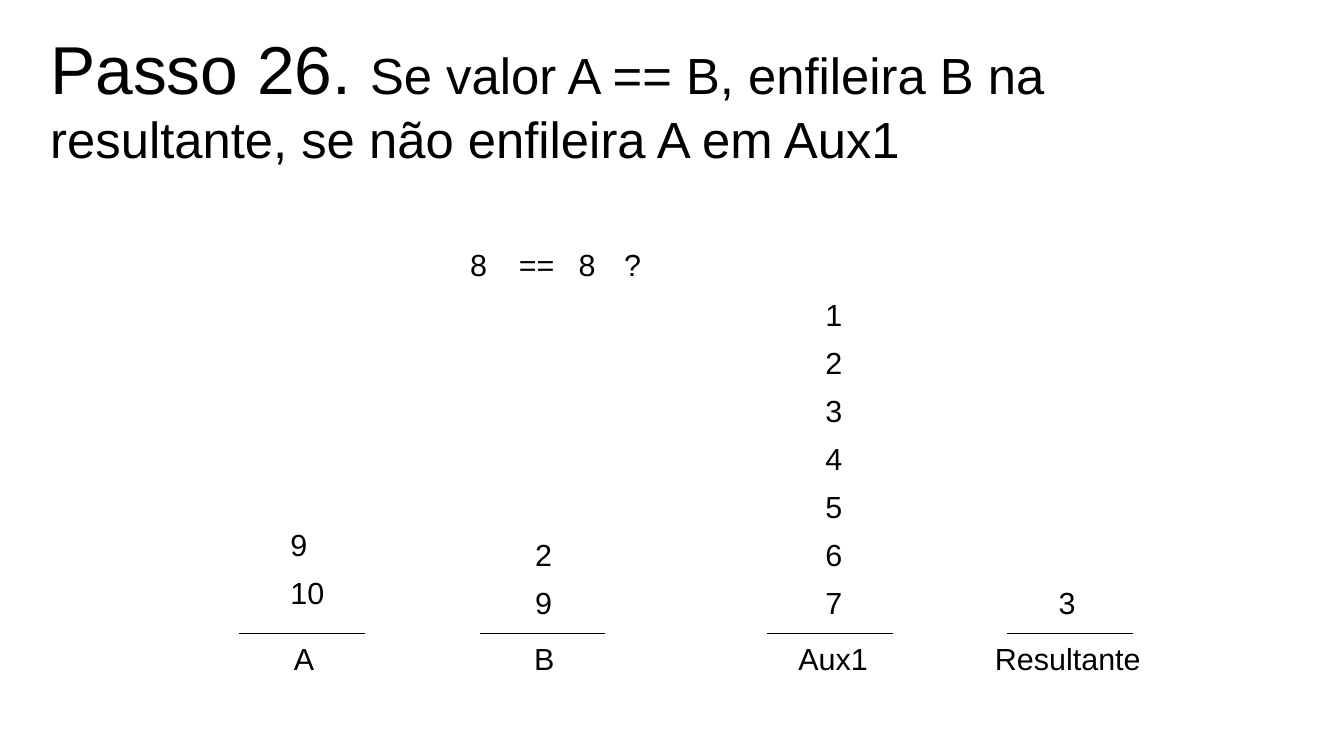
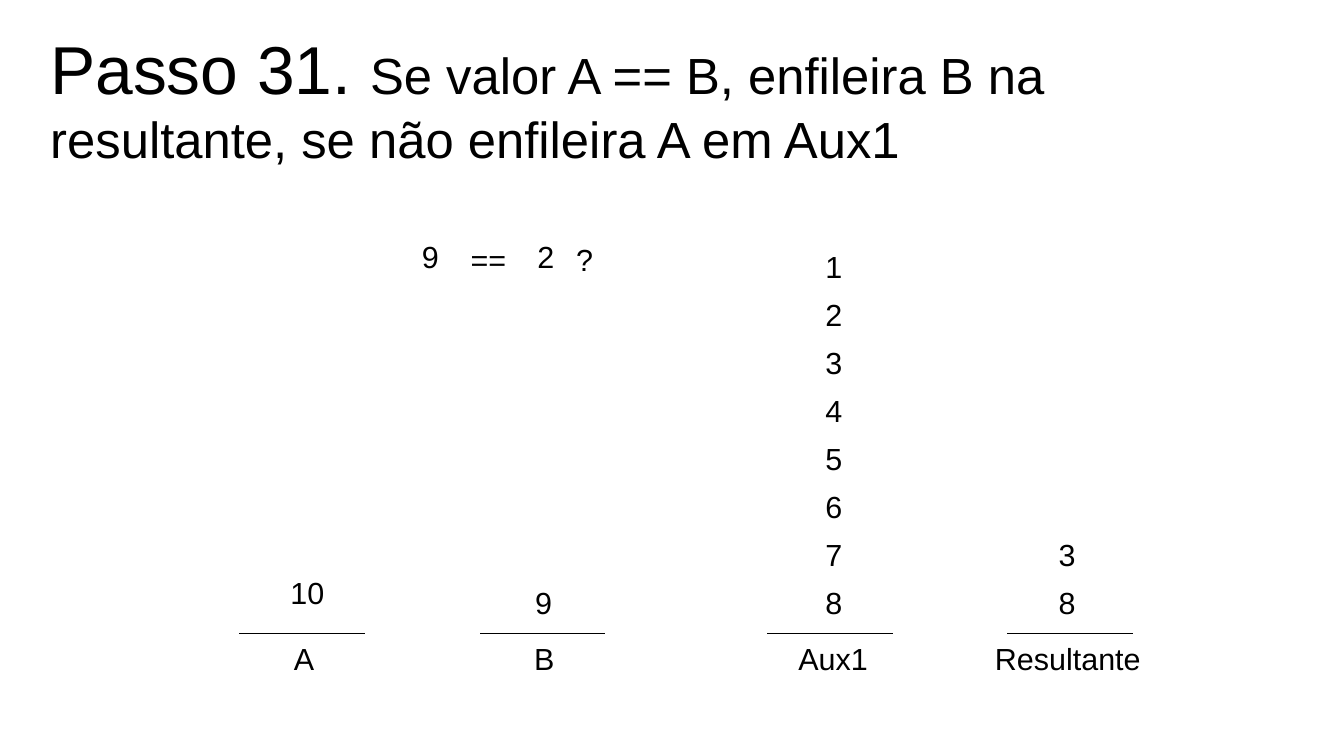
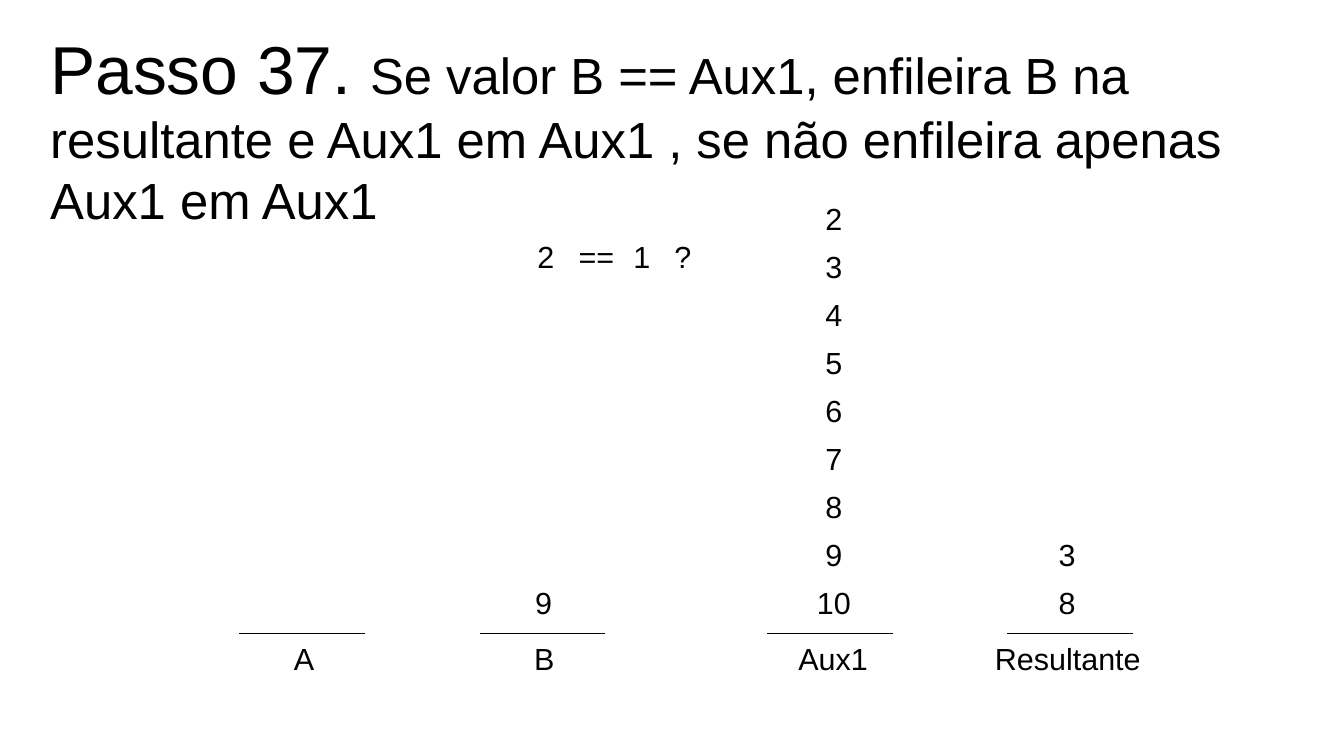
from dataclasses import dataclass

from lxml.etree import SubElement
from pptx import Presentation
from pptx.dml.color import RGBColor
from pptx.enum.shapes import MSO_CONNECTOR
from pptx.enum.text import MSO_AUTO_SIZE as AutoSize
from pptx.oxml.ns import qn
from pptx.slide import Slide
from pptx.util import Pt

COLORS = {"ink": "000000", "paper": "FFFFFF"}
FONT = "Arial"
STEP_SIZE, RULE_SIZE, BODY_SIZE = 40, 30, 18
BASE_Y = 374.1
BASE_WIDTH = 73.7
LINE_HEIGHT = 27.4
ROW_PITCH = 28.35
DIGIT_WIDTH, NEXT_DIGIT = 24.4, 10


@dataclass(frozen=True)
class Queue:
    name: str
    base_left: float
    label_left: float
    label_width: float
    cell_left: float
    last_row_top: float = 341.3
    centred: bool = True


@dataclass(frozen=True)
class Token:
    """One part of the comparison shown above the queues."""
    text: str
    left: float
    top: float


@dataclass(frozen=True)
class Step:
    number: int
    rule: str
    contents: tuple[list[int], ...]
    comparison: tuple[Token, ...]


QUEUES = (
    Queue("A", 141.5, 166.5, 77, 164.4, last_row_top=335.5, centred=False),
    Queue("B", 283.4, 308.2, 28, 308.9),
    Queue("Aux1", 453.3, 464.2, 58, 480.2),
    Queue("Resultante", 595.1, 580.3, 104, 617.8),
)

COMPARE_A_B = "Se valor A == B, enfileira B na resultante, se não enfileira A em Aux1"
COMPARE_B_AUX = ("Se valor B == Aux1, enfileira B na resultante e Aux1 em Aux1 , "
                 "se não enfileira apenas Aux1 em Aux1")

STEPS = (
    Step(26, COMPARE_A_B, ([9, 10], [2, 9], list(range(1, 8)), [3]),
         (Token("8", 270.5, 141.8), Token("==", 299.2, 141.8),
          Token("8", 334.5, 141.8), Token("?", 361.4, 141.8))),
    Step(31, COMPARE_A_B, ([10], [9], list(range(1, 9)), [3, 8]),
         (Token("9", 241.9, 136.8), Token("==", 270.7, 139),
          Token("2", 310.2, 136.8), Token("?", 333.1, 139))),
    Step(37, COMPARE_B_AUX, ([], [9], list(range(2, 11)), [3, 8]),
         (Token("2", 310.2, 136.8), Token("==", 334.5, 136.8),
          Token("1", 366.9, 136.8), Token("?", 391, 136.8))),
)


def add_text(slide: Slide, runs: list[tuple[str, float]], left: float, top: float,
             width: float, height: float = LINE_HEIGHT, wrap: bool = False) -> None:
    """Add a text box from (text, size) runs."""
    box = slide.shapes.add_textbox(Pt(left), Pt(top), Pt(width), Pt(height))
    frame = box.text_frame
    frame.word_wrap = wrap
    frame.auto_size = AutoSize.SHAPE_TO_FIT_TEXT
    para = frame.paragraphs[0]
    for text, size in runs:
        span = para.add_run()
        span.text = text
        span.font.name = FONT
        span.font.size = Pt(size)
        span.font.color.rgb = RGBColor.from_string(COLORS["ink"])


def add_base(slide: Slide, left: float) -> None:
    """Draw the hairline on which a queue stands."""
    base = slide.shapes.add_connector(
        MSO_CONNECTOR.STRAIGHT, Pt(left), Pt(BASE_Y), Pt(left + BASE_WIDTH), Pt(BASE_Y))
    base.line.color.rgb = RGBColor.from_string(COLORS["ink"])
    properties = base._element.spPr
    properties.find(qn("a:ln")).set("w", "0")
    SubElement(properties, qn("a:effectLst"))


def add_queue(slide: Slide, queue: Queue, values: list[int]) -> None:
    add_base(slide, queue.base_left)
    add_text(slide, [(queue.name, BODY_SIZE)], queue.label_left, BASE_Y, queue.label_width)
    for row, value in enumerate(reversed(values)):
        extra = NEXT_DIGIT * (len(str(value)) - 1)
        left = queue.cell_left - (extra / 2 if queue.centred else 0)
        add_text(slide, [(str(value), BODY_SIZE)], left,
                 queue.last_row_top - row * ROW_PITCH, DIGIT_WIDTH + extra)


def add_step(slide: Slide, step: Step) -> None:
    fill = slide.background.fill
    fill.solid()
    fill.fore_color.rgb = RGBColor.from_string(COLORS["paper"])
    title = [(f"Passo {step.number}. ", STEP_SIZE), (step.rule, RULE_SIZE)]
    add_text(slide, title, 22.6, 12.2, 748, 118.8, wrap=True)
    for queue, values in zip(QUEUES, step.contents):
        add_queue(slide, queue, values)
    for token in step.comparison:
        width = 35.3 if token.text == "==" else DIGIT_WIDTH
        add_text(slide, [(token.text, BODY_SIZE)], token.left, token.top, width)


def main() -> None:
    deck = Presentation()
    deck.slide_width, deck.slide_height = Pt(793.44), Pt(446.4)
    blank = deck.slide_layouts[6]
    for step in STEPS:
        add_step(deck.slides.add_slide(blank), step)
    deck.save("out.pptx")


if __name__ == "__main__":
    main()
